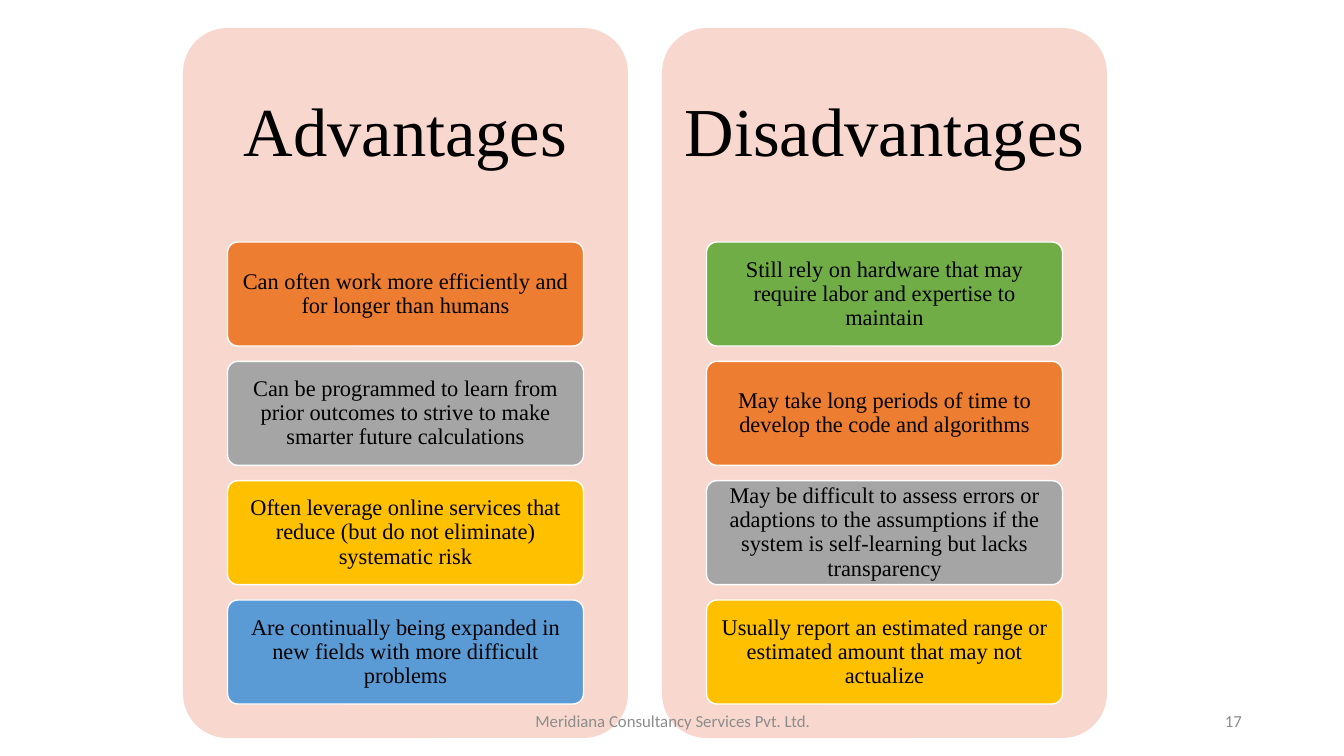
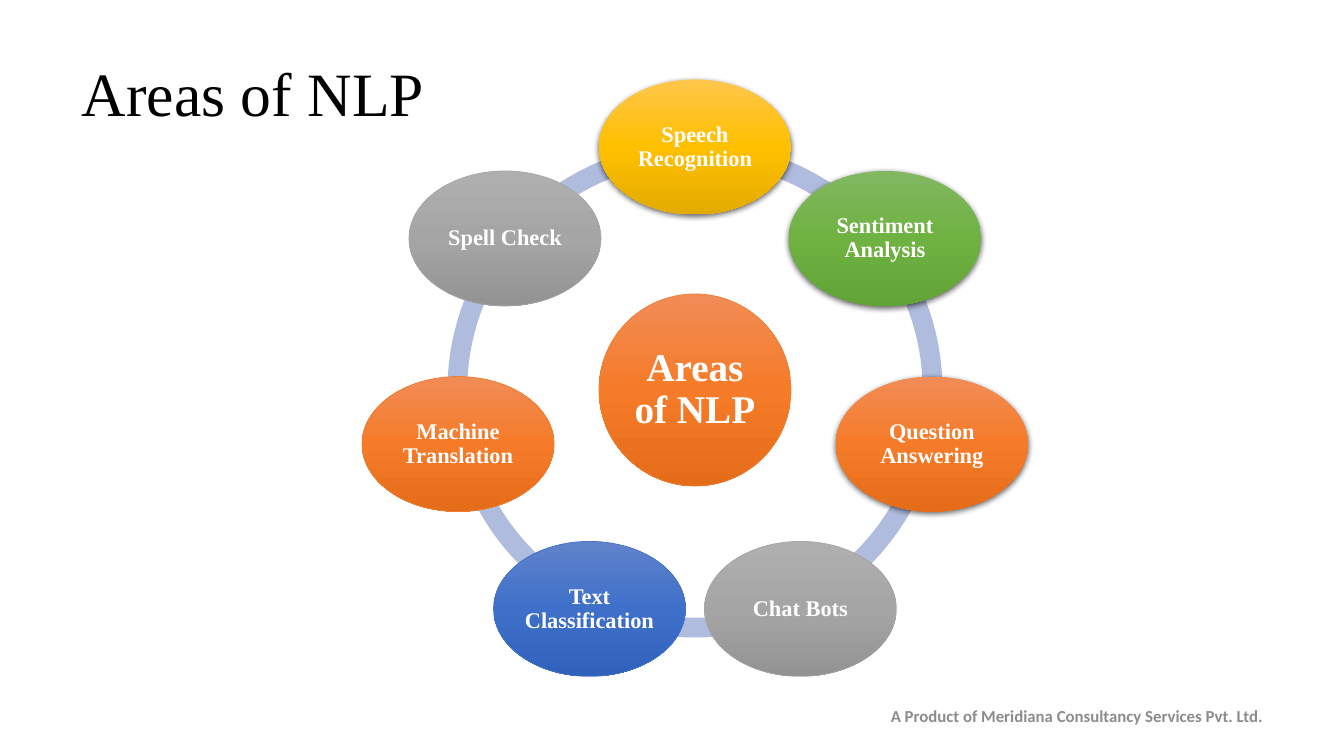
from copy import deepcopy
from math import cos, pi, sin

from lxml.etree import SubElement
from pptx import Presentation
from pptx.dml.color import RGBColor
from pptx.enum.shapes import MSO_SHAPE
from pptx.enum.text import MSO_ANCHOR, PP_ALIGN
from pptx.oxml.ns import qn
from pptx.util import Emu, Pt

EMU_PER_PX = 914400 / 100.8
SLIDE_SIZE = (1344, 756)
SERIF, SANS = "Times New Roman", "Calibri"
BLACK, WHITE, FOOTER_GRAY = "000000", "FFFFFF", "8C8C8C"
ORANGE, GRAY, GOLD = "ED7D31", "A5A5A5", "FFC000"
BLUE, GREEN = "5B9BD5", "70AD47"
PANEL_PINK, RING_BLUE = "F8D7CE", "B0BCDE"

COMPANY = "Meridiana Consultancy Services Pvt. Ltd."

PANELS = [
    ("Advantages", [
        ("Can often work more efficiently and for longer than humans", ORANGE),
        ("Can be programmed to learn from prior outcomes to strive to make "
         "smarter future calculations", GRAY),
        ("Often leverage online services that reduce (but do not eliminate) "
         "systematic risk", GOLD),
        ("Are continually being expanded in new fields with more difficult "
         "problems", BLUE),
    ]),
    ("Disadvantages", [
        ("Still rely on hardware that may require labor and expertise to "
         "maintain", GREEN),
        ("May take long periods of time to develop the code and algorithms",
         ORANGE),
        ("May be difficult to assess errors or adaptions to the assumptions "
         "if the system is self-learning but lacks transparency", GRAY),
        ("Usually report an estimated range or estimated amount that may not "
         "actualize", GOLD),
    ]),
]
PANEL_LEFT, PANEL_TOP, PANEL_WIDTH, PANEL_HEIGHT = 183, 28, 445, 710
PANEL_STEP, HEADING_HEIGHT = 479, 213
CARD_WIDTH, CARD_HEIGHT = 356, 104
FIRST_CARD_TOP, LAST_CARD_TOP = 242, 600

GRADIENTS = {
    "orange": ("F18C57", "F67B28", "E56C19"),
    "gold": ("FFC64B", "FFC000", "E3AB00"),
    "green": ("81B861", "6FB242", "62A336"),
    "gray": ("AFAFAF", "A5A5A5", "939393"),
    "blue": ("6183CB", "3E70CA", "3062BB"),
}
TITLE = "Areas of NLP"
AREAS = [
    ("Speech Recognition", "gold", None),
    ("Sentiment Analysis", "green", None),
    ("Question Answering", "orange", None),
    ("Chat Bots", "gray", GRAY),
    ("Text Classification", "blue", "4472C4"),
    ("Machine Translation", "orange", ORANGE),
    ("Spell Check", "gray", GRAY),
]
CENTER_X, CENTER_Y = 695, 390
RING_SIZE, RING_THICKNESS, ORBIT_RADIUS = 495, 0.04, 243
AREA_WIDTH, AREA_HEIGHT, HUB_SIZE = 192, 135, 192


def px(value):
    return Emu(round(value * EMU_PER_PX))


def color(hex_code):
    return RGBColor.from_string(hex_code)


def write_text(shape, text, size, hex_code, font=SERIF, bold=False,
               align=PP_ALIGN.CENTER, spacing=0.9, inset=(10, 5)):
    frame = shape.text_frame
    frame.word_wrap = True
    frame.vertical_anchor = MSO_ANCHOR.MIDDLE
    frame.margin_left = frame.margin_right = px(inset[0])
    frame.margin_top = frame.margin_bottom = px(inset[1])
    paragraph = frame.paragraphs[0]
    paragraph.text = text
    paragraph.alignment = align
    paragraph.line_spacing = spacing
    paragraph.font.name = font
    paragraph.font.size = Pt(size)
    paragraph.font.bold = bold
    paragraph.font.color.rgb = color(hex_code)


def add_text(slide, box, text, size, hex_code, **style):
    text_box = slide.shapes.add_textbox(*map(px, box))
    write_text(text_box, text, size, hex_code, **style)


def add_footer(slide, box, text, **style):
    add_text(slide, box, text, 12, FOOTER_GRAY, font=SANS, spacing=1, **style)


def add_shape(slide, kind, box, fill=None, line=None, line_width=1):
    shape = slide.shapes.add_shape(kind, *map(px, box))
    shape.shadow.inherit = False
    if fill:
        shape.fill.solid()
        shape.fill.fore_color.rgb = color(fill)
    if line:
        shape.line.color.rgb = color(line)
        shape.line.width = Pt(line_width)
    else:
        shape.line.fill.background()
    return shape


def add_rounded(slide, box, fill, line=None):
    shape = add_shape(slide, MSO_SHAPE.ROUNDED_RECTANGLE, box, fill, line)
    shape.adjustments[0] = 0.1
    return shape


def fill_gradient(shape, hex_codes):
    shape.fill.gradient()
    shape.fill.gradient_angle = 270
    stop_list = shape._element.spPr.find(qn("a:gradFill")).find(qn("a:gsLst"))
    stop_list.insert(1, deepcopy(stop_list[0]))
    for index, (stop, hex_code) in enumerate(
            zip(shape.fill.gradient_stops, hex_codes)):
        stop.position = index / 2
        stop.color.rgb = color(hex_code)


def add_drop_shadow(shape):
    effects = shape._element.spPr.find(qn("a:effectLst"))
    shadow = SubElement(effects, qn("a:outerShdw"), blurRad=str(Pt(4.5)),
                        dist=str(Pt(1.5)), dir="5400000", rotWithShape="0")
    shadow_color = SubElement(shadow, qn("a:srgbClr"), val=BLACK)
    SubElement(shadow_color, qn("a:alpha"), val="63000")


def add_bubble(slide, center, size, text, text_size, gradient, line, inset):
    box = (center[0] - size[0] / 2, center[1] - size[1] / 2, *size)
    bubble = add_shape(slide, MSO_SHAPE.OVAL, box, line=line, line_width=0.5)
    fill_gradient(bubble, GRADIENTS[gradient])
    if not line:
        add_drop_shadow(bubble)
    write_text(bubble, text, text_size, WHITE, bold=True, inset=(inset, inset))


def build_comparison(slide):
    for column, (heading, cards) in enumerate(PANELS):
        left = PANEL_LEFT + column * PANEL_STEP
        add_rounded(slide, (left, PANEL_TOP, PANEL_WIDTH, PANEL_HEIGHT),
                    PANEL_PINK)
        add_text(slide, (left, PANEL_TOP, PANEL_WIDTH, HEADING_HEIGHT),
                 heading, 49, BLACK, inset=(20, 20))
        card_left = left + (PANEL_WIDTH - CARD_WIDTH) / 2
        card_step = (LAST_CARD_TOP - FIRST_CARD_TOP) / (len(cards) - 1)
        for row, (text, fill) in enumerate(cards):
            card_top = FIRST_CARD_TOP + row * card_step
            card = add_rounded(
                slide, (card_left, card_top, CARD_WIDTH, CARD_HEIGHT),
                fill, WHITE)
            write_text(card, text, 16, BLACK, inset=(4, 3))
    add_footer(slide, (446, 701, 454, 40), COMPANY)
    add_footer(slide, (950, 701, 302, 40), "17", align=PP_ALIGN.RIGHT)


def build_areas(slide):
    add_text(slide, (72, 20, 1037, 154), TITLE, 44, BLACK,
             align=PP_ALIGN.LEFT)
    ring = add_shape(slide, MSO_SHAPE.DONUT,
                     (CENTER_X - RING_SIZE / 2, CENTER_Y - RING_SIZE / 2,
                      RING_SIZE, RING_SIZE), RING_BLUE)
    ring.adjustments[0] = RING_THICKNESS
    add_bubble(slide, (CENTER_X, CENTER_Y), (HUB_SIZE, HUB_SIZE),
               TITLE, 28, "orange", ORANGE, 4)
    for index, (text, gradient, line) in enumerate(AREAS):
        angle = 2 * pi * index / len(AREAS)
        center = (CENTER_X + ORBIT_RADIUS * sin(angle),
                  CENTER_Y - ORBIT_RADIUS * cos(angle))
        add_bubble(slide, center, (AREA_WIDTH, AREA_HEIGHT),
                   text, 16, gradient, line, 2)
    add_footer(slide, (850, 696, 454, 40), f"A Product of {COMPANY}",
               bold=True)


def main():
    presentation = Presentation()
    presentation.slide_width, presentation.slide_height = map(px, SLIDE_SIZE)
    blank_layout = presentation.slide_layouts[6]
    for build in (build_comparison, build_areas):
        build(presentation.slides.add_slide(blank_layout))
    presentation.save("out.pptx")


if __name__ == "__main__":
    main()
